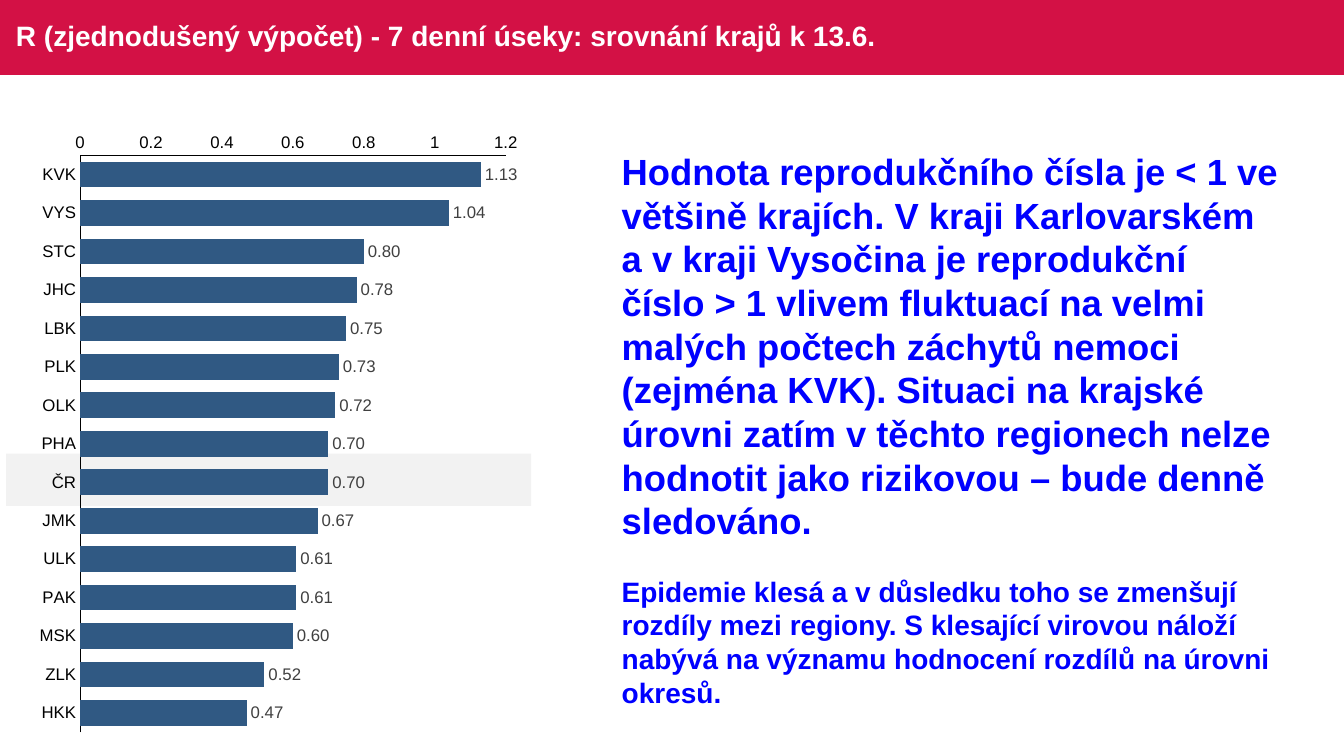
from pptx import Presentation
from pptx.chart.data import CategoryChartData
from pptx.dml.color import RGBColor
from pptx.enum.chart import XL_CHART_TYPE, XL_LABEL_POSITION, XL_TICK_MARK
from pptx.enum.shapes import MSO_SHAPE
from pptx.enum.text import MSO_ANCHOR
from pptx.oxml import parse_xml
from pptx.oxml.ns import nsdecls
from pptx.util import Pt

BAR_CLUSTERED = XL_CHART_TYPE.BAR_CLUSTERED
OUTSIDE_END = XL_LABEL_POSITION.OUTSIDE_END
NO_TICK = XL_TICK_MARK.NONE
RECTANGLE = MSO_SHAPE.RECTANGLE
MIDDLE, TOP = MSO_ANCHOR.MIDDLE, MSO_ANCHOR.TOP

TITLE = "R (zjednodušený výpočet) - 7 denní úseky: srovnání krajů k 13.6."
REGIONS = {
    "KVK": 1.13, "VYS": 1.04, "STC": 0.80, "JHC": 0.78, "LBK": 0.75,
    "PLK": 0.73, "OLK": 0.72, "PHA": 0.70, "ČR": 0.70, "JMK": 0.67,
    "ULK": 0.61, "PAK": 0.61, "MSK": 0.60, "ZLK": 0.52, "HKK": 0.47,
}
FINDING = (
    "Hodnota reprodukčního čísla je < 1 ve většině krajích. V kraji Karlovarském "
    "a v kraji Vysočina je reprodukční číslo > 1 vlivem fluktuací na velmi malých "
    "počtech záchytů nemoci (zejména KVK). Situaci na krajské úrovni zatím v těchto "
    "regionech nelze hodnotit jako rizikovou – bude denně sledováno."
)
OUTLOOK = (
    "Epidemie klesá a v důsledku toho se zmenšují rozdíly mezi regiony. S klesající "
    "virovou náloží nabývá na významu hodnocení rozdílů na úrovni okresů."
)

THEME = {
    "font": "Arial",
    "banner": "D31145", "highlight": "F2F2F2", "bar": "305983",
    "title": "FFFFFF", "body": "0000FF", "axis": "000000", "label": "404040",
    "title_size": 20, "finding_size": 26, "outlook_size": 20, "chart_size": 12,
}
SLIDE_W, SLIDE_H = 960, 540
BANNER_H = 53.5
CHART = (21.6, 86.4, 355.7, 445.7)
PLOT = {"x": 0.1, "y": 0.055, "w": 0.855, "h": 0.925}
HIGHLIGHT = (4.3, 324, 375.1, 37.4)
COMMENTARY = (437, 103, 484.6, 411.8)


def color(role):
    return RGBColor.from_string(THEME[role])


def style_font(font, size, role, bold=False):
    font.name = THEME["font"]
    font.size = Pt(THEME[size])
    font.color.rgb = color(role)
    font.bold = bold


def add_band(slide, box, role):
    band = slide.shapes.add_shape(RECTANGLE, *map(Pt, box))
    band.shadow.inherit = False
    band.fill.solid()
    band.fill.fore_color.rgb = color(role)
    band.line.fill.background()


def add_text(slide, box, entries, anchor, line_spacing=None):
    frame = slide.shapes.add_textbox(*map(Pt, box)).text_frame
    frame.word_wrap = True
    frame.vertical_anchor = anchor
    for index, (words, size, role, before) in enumerate(entries):
        paragraph = frame.add_paragraph() if index else frame.paragraphs[0]
        if before:
            paragraph.space_before = Pt(before)
        if line_spacing:
            paragraph.line_spacing = line_spacing
        run = paragraph.add_run()
        run.text = words
        style_font(run.font, size, role, bold=True)


def add_region_chart(slide):
    data = CategoryChartData(number_format="#,##0.00")
    data.categories = list(REGIONS)
    data.add_series("R", list(REGIONS.values()))
    chart = slide.shapes.add_chart(BAR_CLUSTERED, *map(Pt, CHART), data).chart
    chart.has_legend = False
    chart.has_title = False
    style_font(chart.font, "chart_size", "axis")

    for axis in (chart.category_axis, chart.value_axis):
        axis.has_major_gridlines = False
        axis.major_tick_mark = axis.minor_tick_mark = NO_TICK
        axis.format.line.color.rgb = color("axis")
        axis.format.line.width = Pt(0.75)
        style_font(axis.tick_labels.font, "chart_size", "axis")
    chart.category_axis.reverse_order = True
    chart.value_axis.minimum_scale = 0
    chart.value_axis.maximum_scale = 1.2
    chart.value_axis.major_unit = 0.2
    chart.value_axis.tick_labels.number_format = "General"
    chart.value_axis.tick_labels.number_format_is_linked = False

    plot = chart.plots[0]
    plot.gap_width = 50
    plot.vary_by_categories = False
    plot.series[0].format.fill.solid()
    plot.series[0].format.fill.fore_color.rgb = color("bar")
    plot.has_data_labels = True
    labels = plot.data_labels
    labels.show_value = True
    labels.number_format = "#,##0.00"
    labels.number_format_is_linked = False
    labels.position = OUTSIDE_END
    style_font(labels.font, "chart_size", "label")

    modes = "".join(f'<c:{side}Mode val="edge"/>' for side in "xy")
    extents = "".join(f'<c:{side} val="{share}"/>' for side, share in PLOT.items())
    plot_area = chart.element.chart.plotArea
    for automatic in plot_area.findall("{*}layout"):
        plot_area.remove(automatic)
    plot_area.insert(0, parse_xml(
        f'<c:layout {nsdecls("c")}><c:manualLayout><c:layoutTarget val="inner"/>'
        f"{modes}{extents}</c:manualLayout></c:layout>"
    ))


def main():
    deck = Presentation()
    deck.slide_width, deck.slide_height = Pt(SLIDE_W), Pt(SLIDE_H)
    slide = deck.slides.add_slide(deck.slide_layouts[6])
    add_band(slide, (0, 0, SLIDE_W, BANNER_H), "banner")
    add_band(slide, HIGHLIGHT, "highlight")
    add_region_chart(slide)
    add_text(slide, (4.3, 0, 864.7, BANNER_H),
             [(TITLE, "title_size", "title", 0)], MIDDLE, 0.9)
    add_text(slide, COMMENTARY, [
        (FINDING, "finding_size", "body", 0),
        (OUTLOOK, "outlook_size", "body", 23),
    ], TOP)
    deck.save("out.pptx")


if __name__ == "__main__":
    main()
